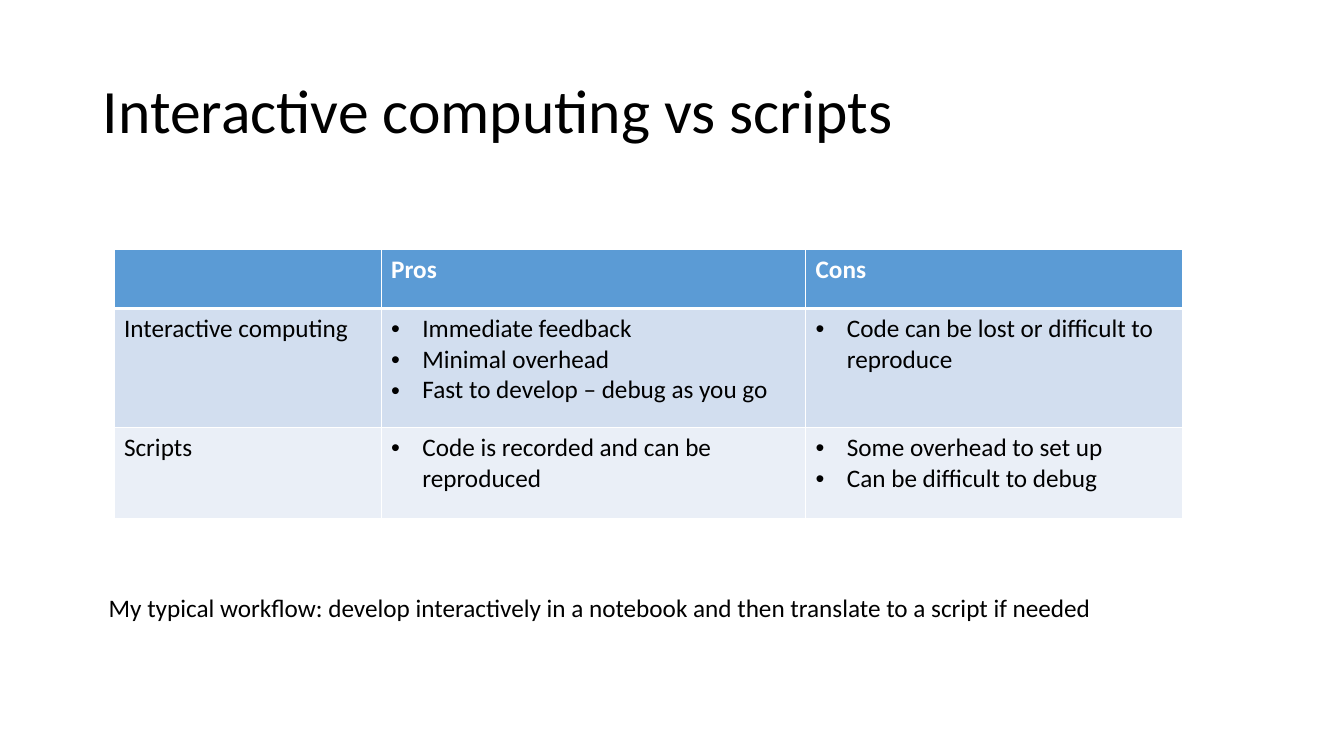
from lxml.etree import SubElement
from pptx import Presentation
from pptx.dml.color import RGBColor
from pptx.enum.text import MSO_ANCHOR as Anchor, MSO_AUTO_SIZE as Fit, PP_ALIGN as Align
from pptx.oxml.ns import qn
from pptx.util import Inches, Pt

TITLE = "Interactive computing vs scripts"
NOTE = ("My typical workflow: develop interactively in a notebook "
        "and then translate to a script if needed")
HEAD = ("", "Pros", "Cons")
BODY = [
    ("Interactive computing",
     ["Immediate feedback", "Minimal overhead", "Fast to develop – debug as you go"],
     ["Code can be lost or difficult to reproduce"]),
    ("Scripts",
     ["Code is recorded and can be reproduced"],
     ["Some overhead to set up", "Can be difficult to debug"]),
]
COLS = (2.65, 4.21, 3.74)
ROWS = (0.59, 1.18, 0.91)
FILLS = ("5B9BD5", "D2DEEF", "EAEFF7")
FONT, BLACK, WHITE = "Calibri", "000000", "FFFFFF"
INDENT = 0.31


def paint(hue):
    """Turn a hex string into a colour."""
    return RGBColor.from_string(hue)


def box(left, top, width, height):
    """Turn inches into lengths."""
    return [Inches(n) for n in (left, top, width, height)]


def style(frame, size=18, hue=BLACK, bold=False):
    """Format all runs of a text frame."""
    for para in frame.paragraphs:
        for run in para.runs:
            font = run.font
            font.name, font.size, font.bold = FONT, Pt(size), bold
            font.color.rgb = paint(hue)


def bullet(para):
    """Give a paragraph a hanging bullet."""
    props = para._p.get_or_add_pPr()
    props.set("marL", str(Inches(INDENT)))
    props.set("indent", str(-Inches(INDENT)))
    SubElement(props, qn("a:buFont"), typeface="Arial")
    SubElement(props, qn("a:buChar"), char="•")


def edge(cell, **widths):
    """Draw white cell borders, widths in points by side."""
    props = cell._tc.get_or_add_tcPr()
    for side, width in widths.items():
        line = SubElement(props, qn("a:ln" + side), w=str(Pt(width)))
        fill = SubElement(line, qn("a:solidFill"))
        SubElement(fill, qn("a:srgbClr"), val=WHITE)


def fill_cell(cell, item, row):
    """Write one cell with its borders, fill and text."""
    edge(cell, L=1, R=1, T=3 if row == 1 else 1, B=1 if row else 3)
    cell.fill.solid()
    cell.fill.fore_color.rgb = paint(FILLS[row])
    frame = cell.text_frame
    if isinstance(item, list):
        frame.text = "\n".join(item)
        for para in frame.paragraphs:
            bullet(para)
    else:
        frame.text = item
    style(frame, hue=BLACK if row else WHITE, bold=row == 0)


def add_title(slide):
    """Place the title."""
    title = slide.shapes.title
    title.left, title.top, title.width, title.height = box(0.92, 0.4, 11.5, 1.45)
    frame = title.text_frame
    frame.text = TITLE
    frame.auto_size, frame.vertical_anchor = Fit.NONE, Anchor.MIDDLE
    frame.paragraphs[0].alignment = Align.LEFT
    frame.paragraphs[0].line_spacing = 0.9
    style(frame, 44)


def add_grid(slide):
    """Place the table of pros and cons."""
    area = box(1.13, 2.47, sum(COLS), sum(ROWS))
    table = slide.shapes.add_table(len(ROWS), len(COLS), *area).table
    for col, width in zip(table.columns, COLS):
        col.width = Inches(width)
    for row, height in zip(table.rows, ROWS):
        row.height = Inches(height)
    for r, items in enumerate([HEAD, *BODY]):
        for c, item in enumerate(items):
            fill_cell(table.cell(r, c), item, r)


def add_note(slide):
    """Place the closing line."""
    frame = slide.shapes.add_textbox(*box(0.98, 5.83, 10.36, 0.4)).text_frame
    frame.word_wrap, frame.auto_size = True, Fit.SHAPE_TO_FIT_TEXT
    frame.text = NOTE
    style(frame)


deck = Presentation()
deck.slide_width, deck.slide_height = Inches(13.33), Inches(7.5)
page = deck.slides.add_slide(deck.slide_layouts[5])
add_title(page)
add_grid(page)
add_note(page)
deck.save("out.pptx")
